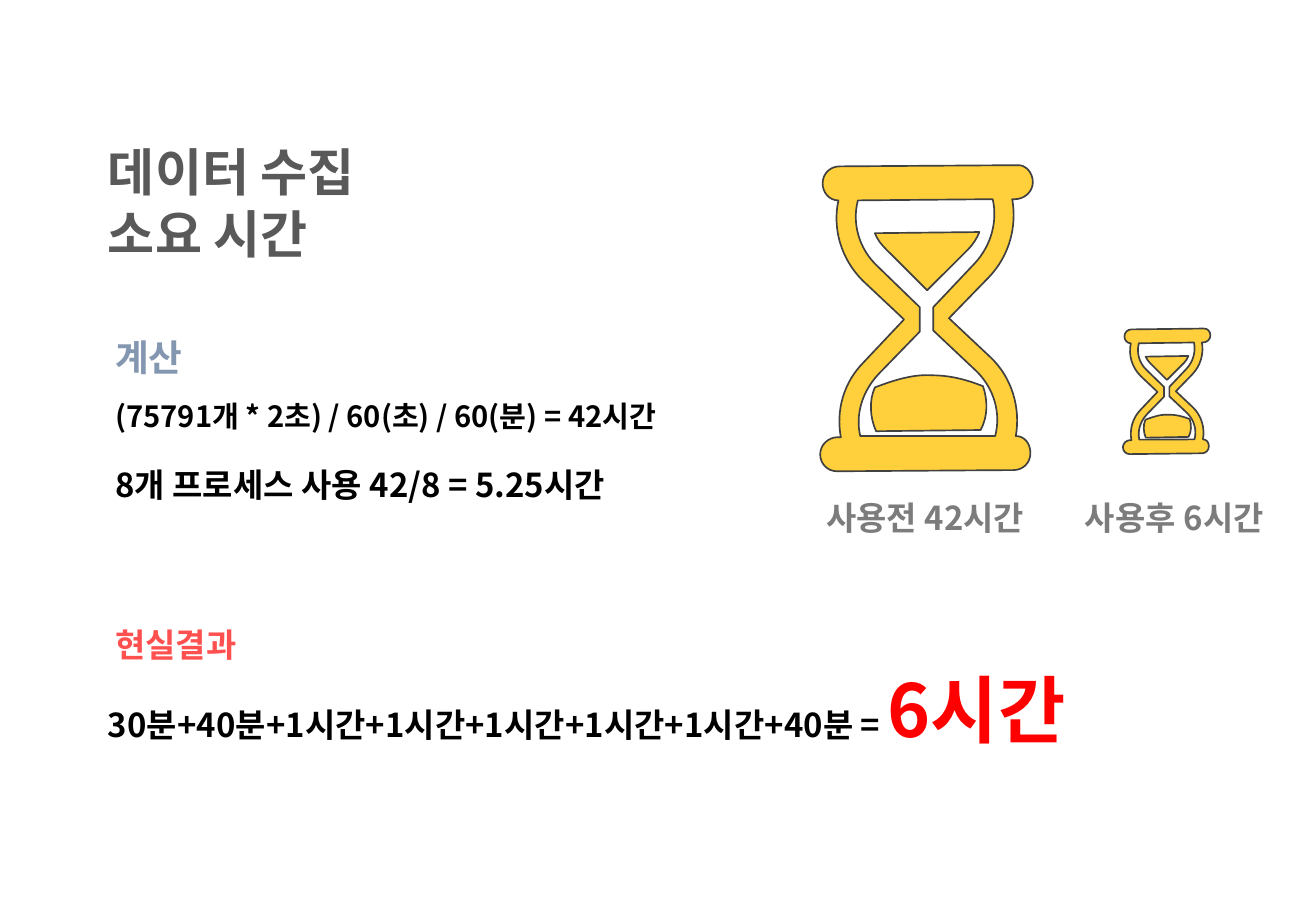
from dataclasses import dataclass
from math import cos, radians, sin

from lxml.etree import SubElement
from pptx import Presentation
from pptx.dml.color import RGBColor
from pptx.enum.text import MSO_AUTO_SIZE
from pptx.oxml.ns import qn
from pptx.slide import Slide
from pptx.util import Emu, Pt

EMU_PER_PX = 9144  # 100 px to the inch


@dataclass(frozen=True)
class Theme:
    font: str = "Noto Sans CJK KR"
    ink: str = "000000"
    title: str = "595959"
    heading: str = "8497B0"
    result: str = "FF5050"
    answer: str = "FF0000"
    caption: str = "7C7C7C"
    sand: str = "FFD03B"
    outline: str = "404040"
    formula_size: float = 17.3
    body_size: float = 19.5
    heading_size: float = 21.7
    title_size: float = 30.3
    answer_size: float = 43.3
    outline_width: float = 1


THEME = Theme()


@dataclass(frozen=True)
class Phrase:
    text: str
    size: float
    color: str


@dataclass(frozen=True)
class TextBlock:
    left: int
    top: int
    width: int
    height: int
    lines: list[list[Phrase]]


@dataclass(frozen=True)
class Hourglass:
    left: int
    top: int
    width: int
    height: int


@dataclass(frozen=True)
class Contour:
    start: tuple[int, int]
    steps: list[tuple[int, ...]]  # 2 numbers: line, 6 numbers: Bézier curve


# The glass lies tilted in its frame and is turned upright
TILT = 313.4
FRAME_WIDTH, FRAME_HEIGHT = 292, 285
GLASS_CENTER = (87, 125.5)


def px(length: float) -> Emu:
    return Emu(round(length * EMU_PER_PX))


def tilted(x: float, y: float) -> tuple[Emu, Emu]:
    angle = radians(-TILT)
    dx, dy = x - GLASS_CENTER[0], y - GLASS_CENTER[1]
    return (px(FRAME_WIDTH / 2 + dx * cos(angle) - dy * sin(angle)),
            px(FRAME_HEIGHT / 2 + dx * sin(angle) + dy * cos(angle)))


def add_command(outline, tag: str, numbers: tuple[int, ...]) -> None:
    command = SubElement(outline, qn(tag))
    for x, y in zip(numbers[::2], numbers[1::2]):
        tilted_x, tilted_y = tilted(x, y)
        SubElement(command, qn("a:pt"), x=str(tilted_x), y=str(tilted_y))


def draw_hourglass(slide: Slide, glass: Hourglass) -> None:
    builder = slide.shapes.build_freeform()
    builder.add_line_segments([(px(FRAME_WIDTH), px(FRAME_HEIGHT))])
    hourglass = builder.convert_to_shape()
    # Curves replace the straight placeholder line
    outline = next(hourglass._element.iter(qn("a:path")))
    for command in list(outline):
        outline.remove(command)
    for contour in HOURGLASS_CONTOURS:
        add_command(outline, "a:moveTo", contour.start)
        for step in contour.steps:
            add_command(outline, "a:lnTo" if len(step) == 2 else "a:cubicBezTo", step)
        SubElement(outline, qn("a:close"))
    formats = {"left": px(glass.left), "top": px(glass.top), "width": px(glass.width),
               "height": px(glass.height), "rotation": TILT}
    for attribute, value in formats.items():
        setattr(hourglass, attribute, value)
    hourglass.shadow.inherit = False
    hourglass.fill.solid()
    hourglass.fill.fore_color.rgb = RGBColor.from_string(THEME.sand)
    hourglass.line.color.rgb = RGBColor.from_string(THEME.outline)
    hourglass.line.width = Pt(THEME.outline_width)


def draw_text(slide: Slide, block: TextBlock) -> None:
    frame = slide.shapes.add_textbox(
        px(block.left), px(block.top), px(block.width), px(block.height)).text_frame
    frame.word_wrap = True
    frame.auto_size = MSO_AUTO_SIZE.SHAPE_TO_FIT_TEXT
    for index, line in enumerate(block.lines):
        paragraph = frame.add_paragraph() if index else frame.paragraphs[0]
        for phrase in line:
            run = paragraph.add_run()
            run.text = phrase.text
            formats = {"name": THEME.font, "size": Pt(phrase.size), "bold": True}
            for attribute, value in formats.items():
                setattr(run.font, attribute, value)
            run.font.color.rgb = RGBColor.from_string(phrase.color)
            # Hangul takes the East Asian font
            SubElement(run.font._element, qn("a:ea"), typeface=THEME.font)


# Hourglass outline: lower sand, upper sand, glass, frame
HOURGLASS_CONTOURS = [
    Contour((92, 173), [
        (106, 173, 119, 176, 134, 182), (138, 194, 138, 207, 132, 218), (46, 219),
        (41, 208, 40, 194, 45, 183), (63, 176, 78, 172, 92, 173)]),
    Contour((45, 56), [
        (131, 55), (129, 60, 126, 65, 122, 69), (88, 103), (54, 69),
        (50, 65, 47, 61, 45, 56)]),
    Contour((31, 29), [
        (26, 48, 32, 69, 47, 83), (82, 117), (82, 137), (48, 172),
        (34, 187, 29, 206, 33, 223), (144, 223), (149, 204, 143, 184, 129, 170),
        (93, 136), (93, 117), (127, 81), (141, 66, 146, 46, 142, 28), (31, 29)]),
    Contour((16, 1), [
        (161, 0), (169, -1, 175, 6, 175, 14), (175, 22, 168, 28, 160, 28), (158, 28),
        (162, 50, 156, 74, 139, 92), (106, 126), (140, 158),
        (158, 175, 165, 200, 161, 223), (168, 223, 173, 229, 173, 237),
        (173, 245, 167, 251, 159, 251), (14, 252), (6, 252, 0, 246, 0, 238),
        (0, 230, 7, 224, 14, 224), (17, 224), (13, 202, 19, 179, 36, 162),
        (69, 127), (35, 95), (17, 77, 10, 52, 15, 29), (7, 29, 2, 22, 2, 15),
        (2, 7, 8, 1, 16, 1)]),
]

HOURGLASSES = [Hourglass(616, 119, 292, 285), Hourglass(900, 264, 120, 116)]

TEXT_BLOCKS = [
    # Calculation
    TextBlock(85, 323, 584, 39, [[Phrase(
        "(75791개 * 2초) / 60(초) / 60(분) = 42시간", THEME.formula_size, THEME.ink)]]),
    TextBlock(85, 378, 512, 43, [[Phrase(
        "8개 프로세스 사용 42/8 = 5.25시간", THEME.body_size, THEME.ink)]]),
    # Actual result
    TextBlock(79, 542, 938, 83, [[
        Phrase("30분+40분+1시간+1시간+1시간+1시간+1시간+40분 = ", THEME.body_size, THEME.ink),
        Phrase("6시간", THEME.answer_size, THEME.answer)]]),
    # Hourglass captions
    TextBlock(670, 405, 195, 43, [[Phrase("사용전 42시간", THEME.body_size, THEME.caption)]]),
    TextBlock(883, 405, 195, 43, [[Phrase("사용후 6시간", THEME.body_size, THEME.caption)]]),
    # Title and headings
    TextBlock(85, 509, 179, 43, [[Phrase("현실결과", THEME.body_size, THEME.result)]]),
    TextBlock(79, 111, 241, 112, [
        [Phrase("데이터 수집", THEME.title_size, THEME.title)],
        [Phrase("소요 시간", THEME.title_size, THEME.title)]]),
    TextBlock(85, 271, 179, 47, [[Phrase("계산", THEME.heading_size, THEME.heading)]]),
]


def main() -> None:
    presentation = Presentation()
    presentation.slide_width, presentation.slide_height = px(1083), px(750)
    slide = presentation.slides.add_slide(presentation.slide_layouts[6])
    for block in TEXT_BLOCKS:
        draw_text(slide, block)
    for glass in HOURGLASSES:
        draw_hourglass(slide, glass)
    presentation.save("out.pptx")


if __name__ == "__main__":
    main()
